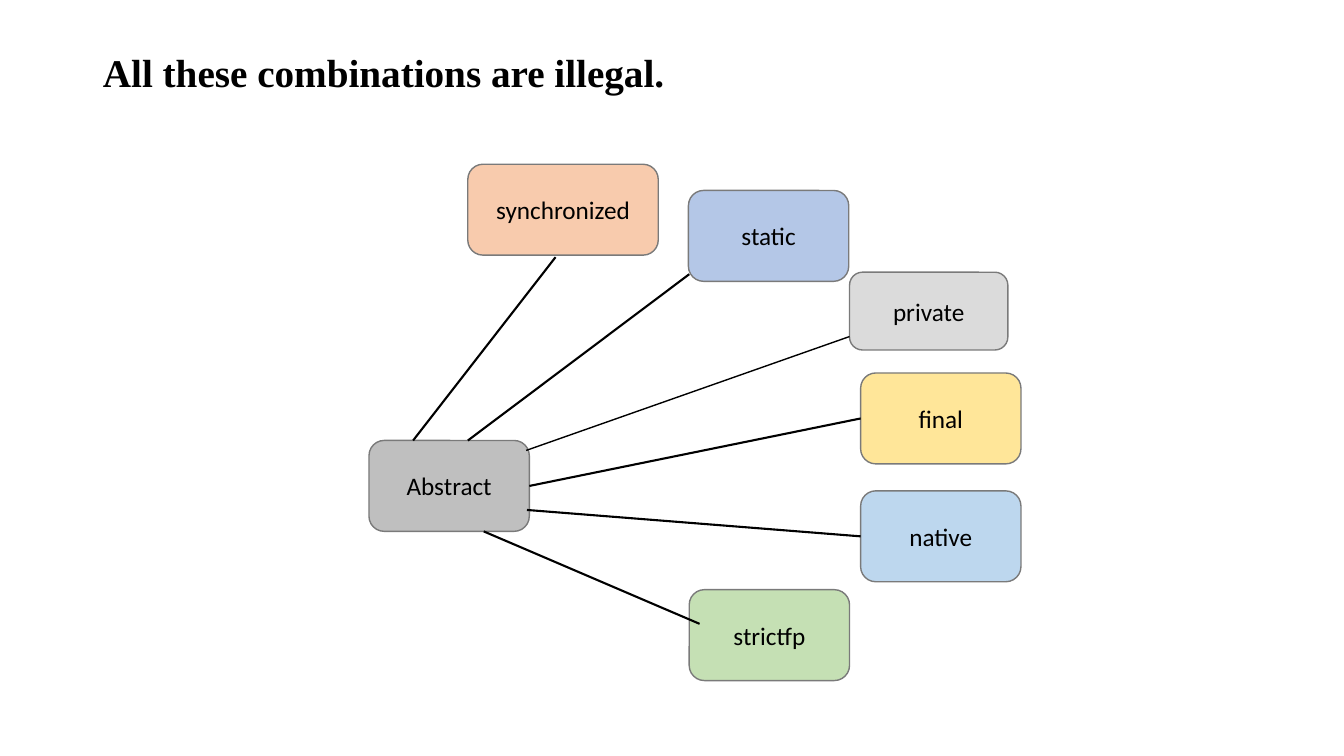
from lxml import etree
from pptx import Presentation
from pptx import util as u
from pptx.dml.color import RGBColor
from pptx.enum import shapes, text
from pptx.oxml.ns import qn

BOX_W, BOX_H = 4.04, 2.29
BOXES = [
    ("Abstract", 0, 6.96, BOX_W, BOX_H, "BFBFBF"),
    ("private", 12.11, 2.72, 3.99, 1.96, "DBDBDB"),
    ("final", 12.39, 5.26, BOX_W, BOX_H, "FFE699"),
    ("static", 8.05, 0.66, BOX_W, BOX_H, "B4C7E7"),
    ("native", 12.39, 8.23, BOX_W, BOX_H, "BDD7EE"),
    ("strictfp", 8.07, 10.72, BOX_W, BOX_H, "C5E0B4"),
    ("synchronized", 2.49, 0, 4.8, BOX_H, "F8CBAD"),
]
LINKS = [
    ("static", (2.49, 6.96), (8.07, 2.77), 1.5, None, None),
    ("private", (3.96, 7.21), (12.11, 4.34), 1, None, None),
    ("final", (4.04, 8.1), (12.39, 6.41), 1.5, 3, 1),
    ("native", (3.98, 8.71), (12.39, 9.38), 1.5, None, 1),
    ("strictfp", (2.89, 9.25), (8.33, 11.58), 1.5, None, None),
    ("synchronized", (1.11, 6.96), (4.7, 2.34), 1.5, None, None),
]


def color(value):
    return RGBColor.from_string(value)


def set_attrs(obj, values):
    for name, value in values.items():
        setattr(obj, name, value)


def set_line(line, value, width):
    line.color.rgb = color(value)
    line.width = u.Pt(width)


def add_run(p, wording, **font):
    r = p.add_run()
    r.text = wording
    set_attrs(r.font, font)
    r.font.color.rgb = color("000000")


def fill_statement(sp, left, top, width, height):
    set_attrs(sp, {"left": u.Cm(left), "top": u.Cm(top),
                   "width": u.Cm(width), "height": u.Cm(height)})
    p = sp.text_frame.paragraphs[0]
    set_attrs(p, {"line_spacing": 0.9, "space_before": u.Pt(10)})
    pPr = p._p.get_or_add_pPr()
    pPr.set("marL", "0")
    pPr.set("indent", "0")
    etree.SubElement(pPr, qn("a:buNone"))
    add_run(p, "All these combinations are illegal.",
            name="Times New Roman", size=u.Pt(28), bold=True)


def add_box(s, label, left, top, width, height, fill):
    sp = s.shapes.add_shape(shapes.MSO_SHAPE.ROUNDED_RECTANGLE,
                            u.Cm(left), u.Cm(top), u.Cm(width), u.Cm(height))
    sp.shadow.inherit = False
    sp.fill.solid()
    sp.fill.fore_color.rgb = color(fill)
    set_line(sp.line, "7A7A7A", 1)
    tf = sp.text_frame
    set_attrs(tf, {"word_wrap": True, "vertical_anchor": text.MSO_ANCHOR.MIDDLE})
    p = tf.paragraphs[0]
    p.alignment = text.PP_ALIGN.CENTER
    add_run(p, label, name="Calibri", size=u.Pt(18))
    return sp


def add_link(s, start, end, width):
    link = s.shapes.add_connector(shapes.MSO_CONNECTOR.STRAIGHT,
                                  *(u.Cm(v) for v in start + end))
    set_line(link.line, "000000", width)
    etree.SubElement(link._element.spPr, qn("a:effectLst"))
    return link


def add_diagram(s, left, top):
    boxes = {label: add_box(s, label, left + x, top + y, w, h, fill)
             for label, x, y, w, h, fill in BOXES}
    for label, (x1, y1), (x2, y2), width, begin_site, end_site in LINKS:
        link = add_link(s, (left + x1, top + y1), (left + x2, top + y2), width)
        if begin_site is not None:
            link.begin_connect(boxes["Abstract"], begin_site)
        if end_site is not None:
            link.end_connect(boxes[label], end_site)


def main():
    prs = Presentation()
    set_attrs(prs, {"slide_width": u.Cm(33.87), "slide_height": u.Cm(19.05)})
    s = prs.slides.add_slide(prs.slide_layouts[1])
    title = s.shapes.title._element
    title.getparent().remove(title)
    fill_statement(s.placeholders[1], 2.34, 1.22, 29.21, 17.35)
    add_diagram(s, 9.3, 4.14)
    prs.save("out.pptx")


if __name__ == "__main__":
    main()
